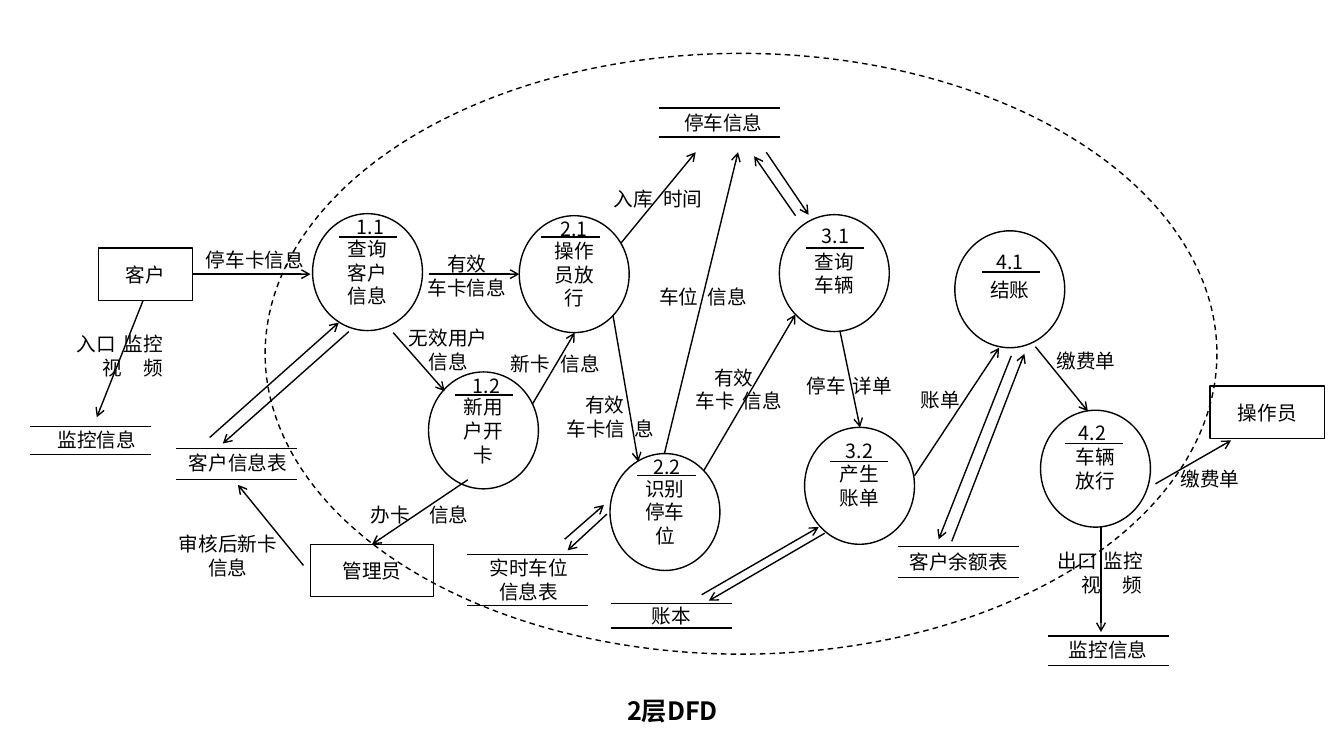
"""Build the level-2 data flow diagram of a car park system."""
from dataclasses import dataclass

from lxml.etree import SubElement
from pptx import Presentation
from pptx.dml.color import RGBColor
from pptx.enum.dml import MSO_LINE
from pptx.enum.shapes import MSO_CONNECTOR, MSO_SHAPE
from pptx.enum.text import MSO_ANCHOR, MSO_AUTO_SIZE, PP_ALIGN
from pptx.oxml.ns import qn
from pptx.util import Pt

EMU_PER_PX = 9144
FONT = "Noto Sans CJK SC"
COLORS = {"ink": "000000", "paper": "FFFFFF"}
CIRCLE_W, CIRCLE_H = 109, 116
NUMBER_W, NUMBER_H = 55, 34
RULE_W, STORE_W = 58, 120
INSET = 10


@dataclass(frozen=True)
class Process:
    number: str
    task: str
    left: int
    top: int
    number_left: int
    number_top: int
    rule_left: int
    rule_top: int


@dataclass(frozen=True)
class Entity:
    role: str
    left: int
    top: int
    width: int


@dataclass(frozen=True)
class Store:
    content: str
    left: int
    top: int
    bottom: int
    label: tuple[int, int, int, int]


@dataclass(frozen=True)
class Row:
    words: str
    stops: tuple[int, ...] = ()


@dataclass(frozen=True)
class FlowLabel:
    left: int
    top: int
    width: int
    rows: tuple[Row, ...]


PROCESSES = [
    Process("1.1", "查询客户信息", 310, 212, 340, 208, 336, 235),
    Process("1.2", "新用户开卡", 425, 369, 455, 366, 451, 392),
    Process("2.1", "操作员放行", 515, 214, 542, 210, 537, 235),
    Process("2.2", "识别停车位", 605, 450, 634, 446, 632, 472),
    Process("3.1", "查询车辆", 773, 213, 801, 217, 799, 246),
    Process("3.2", "产生账单", 798, 424, 825, 430, 823, 458),
    Process("4.1", "结账", 947, 229, 974, 242, 974, 270),
    Process("4.2", "车辆放行", 1032, 407, 1056, 412, 1056, 440),
]
ENTITIES = [
    Entity("客户", 98, 246, 93),
    Entity("操作员", 1200, 383, 114),
    Entity("管理员", 308, 540, 122),
]
STORES = [
    Store("监控信息", 30, 423, 451, (30, 414, 132, 44)),
    Store("客户信息表", 175, 445, 476, (170, 437, 132, 44)),
    Store("实时车位信息表", 463, 550, 601, (470, 553, 109, 44)),
    Store("停车信息", 654, 107, 136, (663, 100, 109, 44)),
    Store("账本", 606, 599, 623, (600, 599, 132, 23)),
    Store("客户余额表", 891, 542, 573, (885, 535, 132, 44)),
    Store("监控信息", 1039, 631, 660, (1033, 622, 132, 44)),
]
FLOWS = [
    (191, 272, 308, 272), (425, 272, 515, 272), (142, 298, 96, 414),
    (208, 434, 336, 320), (346, 329, 221, 440), (390, 330, 441, 388),
    (301, 561, 236, 481), (464, 476, 369, 540), (528, 401, 570, 330),
    (616, 241, 690, 151), (608, 313, 633, 458), (659, 450, 732, 151),
    (560, 535, 599, 501), (602, 510, 563, 546), (698, 467, 789, 312),
    (789, 214, 748, 155), (760, 151, 802, 213), (833, 328, 853, 424),
    (696, 590, 812, 523), (818, 529, 703, 596), (907, 472, 991, 345),
    (1003, 353, 931, 535), (944, 537, 1016, 351), (1027, 344, 1079, 408),
    (1092, 523, 1092, 627), (1146, 480, 1221, 437),
]
LABELS = [
    FlowLabel(187, 235, 132, (Row("停车卡信息"),)),
    FlowLabel(397, 251, 132, (Row("有效"), Row("车卡信息"))),
    FlowLabel(65, 331, 111, (Row("\t入口\t监控", (76, 123)), Row("\t视\t频", (102, 142)))),
    FlowLabel(394, 325, 101, (Row("无效用户信息"),)),
    FlowLabel(351, 488, 132, (Row("\t办卡\t信息", (368, 426)),)),
    FlowLabel(160, 529, 132, (Row("审核后新卡信息"),)),
    FlowLabel(491, 339, 120, (Row("\t新卡\t信息", (507, 556)),)),
    FlowLabel(587, 175, 132, (Row("\t入库\t时间", (609, 658)),)),
    FlowLabel(632, 272, 132, (Row("\t车位\t信息", (654, 702)),)),
    FlowLabel(534, 391, 132, (Row("有效"), Row("\t车卡信\t息", (562, 629)))),
    FlowLabel(662, 364, 132, (Row("有效"), Row("\t车卡\t信息", (690, 737)))),
    FlowLabel(788, 361, 109, (Row("\t停车\t详单", (800, 846)),)),
    FlowLabel(878, 374, 109, (Row("账单"),)),
    FlowLabel(1011, 336, 132, (Row("缴费单"),)),
    FlowLabel(1134, 453, 132, (Row("缴费单"),)),
    FlowLabel(1037, 546, 111, (Row("\t出口\t监控", (1049, 1095)), Row("\t视\t频", (1073, 1113)))),
]


def px(*lengths: int) -> list[int]:
    return [length * EMU_PER_PX for length in lengths]


def color(key: str) -> RGBColor:
    return RGBColor.from_string(COLORS[key])


def write(holder, *rows: Row, left: int = 0, size: int = 14, leading: int = 17, bold: bool = False) -> None:
    frame = holder.text_frame
    frame.word_wrap = True
    frame.auto_size = MSO_AUTO_SIZE.NONE
    frame.vertical_anchor = MSO_ANCHOR.MIDDLE
    frame.margin_left, frame.margin_right = px(INSET, INSET)
    for index, row in enumerate(rows):
        paragraph = frame.paragraphs[0] if index == 0 else frame.add_paragraph()
        paragraph.alignment = PP_ALIGN.LEFT if row.stops else PP_ALIGN.CENTER
        paragraph.line_spacing = Pt(leading)
        if row.stops:
            tabs = SubElement(paragraph._p.get_or_add_pPr(), qn("a:tabLst"))
            for stop in row.stops:
                position, = px(stop - left - INSET)
                SubElement(tabs, qn("a:tab"), pos=str(position), algn="l")
        run = paragraph.add_run()
        run.text = row.words
        run.font.name, run.font.size, run.font.bold = FONT, Pt(size), bold
        run.font.color.rgb = color("ink")
        SubElement(run._r.get_or_add_rPr(), qn("a:ea"), typeface=FONT)


def add_outline(slide, kind: MSO_SHAPE, left: int, top: int, width: int, height: int):
    outline = slide.shapes.add_shape(kind, *px(left, top, width, height))
    outline.shadow.inherit = False
    outline.fill.solid()
    outline.fill.fore_color.rgb = color("paper")
    outline.line.color.rgb = color("ink")
    outline.line.width = Pt(1)
    return outline


def add_line(slide, x1: int, y1: int, x2: int, y2: int, arrow: bool = False) -> None:
    line = slide.shapes.add_connector(MSO_CONNECTOR.STRAIGHT, *px(x1, y1, x2, y2))
    line.line.color.rgb = color("ink")
    line.line.width = Pt(1)
    if arrow:
        SubElement(line.line._get_or_add_ln(), qn("a:tailEnd"), type="arrow")
    SubElement(line._element.spPr, qn("a:effectLst"))


def add_label(slide, box: tuple[int, int, int, int], *rows: Row) -> None:
    write(slide.shapes.add_textbox(*px(*box)), *rows, left=box[0])


def add_process(slide, process: Process) -> None:
    circle = add_outline(slide, MSO_SHAPE.OVAL, process.left, process.top, CIRCLE_W, CIRCLE_H)
    write(circle, Row(process.task))
    add_line(slide, process.rule_left, process.rule_top, process.rule_left + RULE_W, process.rule_top)
    add_label(slide, (process.number_left, process.number_top, NUMBER_W, NUMBER_H), Row(process.number))


def add_store(slide, store: Store) -> None:
    for y in (store.top, store.bottom):
        add_line(slide, store.left, y, store.left + STORE_W, y)
    add_label(slide, store.label, Row(store.content))


def main() -> None:
    deck = Presentation()
    deck.slide_width, deck.slide_height = px(1333, 750)
    slide = deck.slides.add_slide(deck.slide_layouts[5])
    heading = slide.shapes.title
    heading.left, heading.top, heading.width, heading.height = px(601, 683, 132, 44)
    write(heading, Row("2层DFD"), size=18, leading=22, bold=True)
    for entity in ENTITIES:
        write(add_outline(slide, MSO_SHAPE.RECTANGLE, entity.left, entity.top, entity.width, 52), Row(entity.role))
    for process in PROCESSES:
        add_process(slide, process)
    for store in STORES:
        add_store(slide, store)
    for flow in FLOWS:
        add_line(slide, *flow, arrow=True)
    for label in LABELS:
        add_label(slide, (label.left, label.top, label.width, 44), *label.rows)
    boundary = add_outline(slide, MSO_SHAPE.OVAL, 263, 53, 944, 596)
    boundary.fill.background()
    boundary.line.dash_style = MSO_LINE.DASH
    deck.save("out.pptx")


if __name__ == "__main__":
    main()
